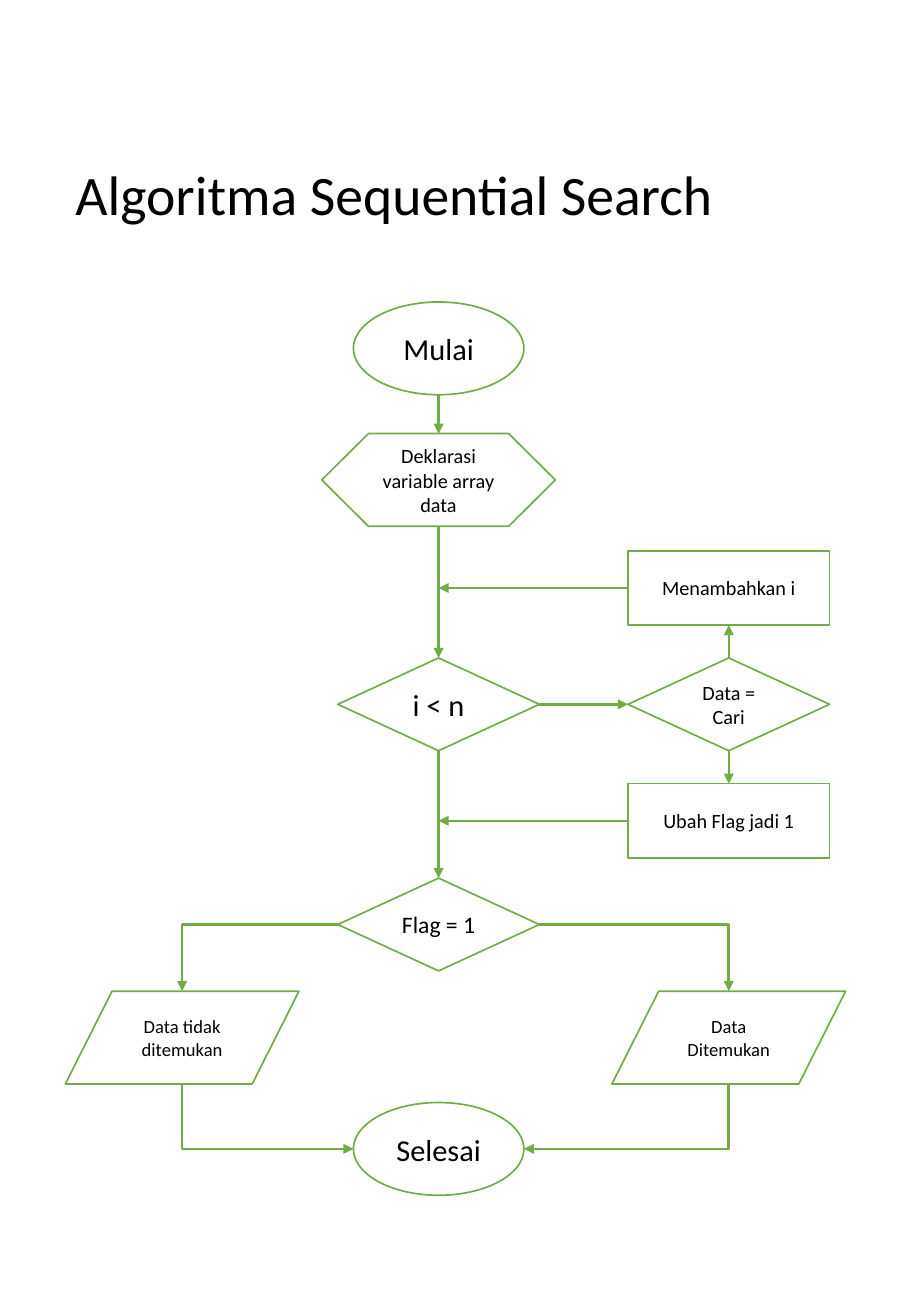
"""Build a flowchart slide of the sequential search algorithm."""
from pptx import Presentation
from pptx.dml.color import RGBColor
from pptx.enum.shapes import MSO_CONNECTOR, MSO_SHAPE
from pptx.enum.text import MSO_ANCHOR, PP_ALIGN
from pptx.oxml.ns import qn
from pptx.util import Pt

OVAL = MSO_SHAPE.OVAL
PREP = MSO_SHAPE.FLOWCHART_PREPARATION
TEST = MSO_SHAPE.FLOWCHART_DECISION
DATA = MSO_SHAPE.FLOWCHART_DATA
RECT = MSO_SHAPE.RECTANGLE
STRAIGHT, ELBOW = MSO_CONNECTOR.STRAIGHT, MSO_CONNECTOR.ELBOW
LEFT, CENTER, MIDDLE = PP_ALIGN.LEFT, PP_ALIGN.CENTER, MSO_ANCHOR.MIDDLE

GREEN = RGBColor(0x70, 0xAD, 0x47)
BLACK = RGBColor(0, 0, 0)
WHITE = RGBColor(255, 255, 255)

SIZES = {OVAL: (101, 55), PREP: (138.5, 55), TEST: (119.5, 55),
         DATA: (138.5, 55), RECT: (119.5, 44)}
WEST, MAIN, EAST = 108, 260, 432
TOP, SIDE_L, BOTTOM, SIDE_R = range(4)


class Chart:
    """Draws flowchart parts on one slide in one style."""

    def __init__(self, slide):
        self.slide = slide
        self.shapes = slide.shapes
        self.font = "Calibri"

    def label(self, shape, text, size, align):
        frame = shape.text_frame
        frame.text = text
        frame.word_wrap = True
        frame.vertical_anchor = MIDDLE
        par = frame.paragraphs[0]
        par.alignment = align
        font = par.runs[0].font
        font.name, font.size = self.font, Pt(size)
        font.color.rgb = BLACK
        return par

    def title(self, text, left, top, width, height):
        shape = self.shapes.title
        shape.left, shape.top = Pt(left), Pt(top)
        shape.width, shape.height = Pt(width), Pt(height)
        self.label(shape, text, 33, LEFT).line_spacing = 0.9

    def node(self, kind, mid, top, text, size):
        width, height = SIZES[kind]
        shape = self.shapes.add_shape(
            kind, Pt(mid - width / 2), Pt(top), Pt(width), Pt(height))
        shape.shadow.inherit = False
        shape.fill.solid()
        shape.fill.fore_color.rgb = WHITE
        shape.line.color.rgb = GREEN
        shape.line.width = Pt(1)
        self.label(shape, text, size, CENTER)
        return shape

    def wire(self, kind, start, end, tip="a:tailEnd"):
        line = self.shapes.add_connector(kind, *start, *end)
        line.line.color.rgb = GREEN
        line.line.width = Pt(1.5)
        props = line.element.spPr
        stroke = props.find(qn("a:ln"))
        stroke.append(stroke.makeelement(qn(tip), {"type": "triangle"}))
        props.append(props.makeelement(qn("a:effectLst"), {}))
        return line

    def link(self, first, side, last, goal):
        line = self.wire(STRAIGHT, point(first, side), point(last, goal))
        line.begin_connect(first, side)
        line.end_connect(last, goal)

    def merge(self, first, mid):
        x, y = point(first, SIDE_L)
        line = self.wire(STRAIGHT, (x, y), (Pt(mid), y))
        line.begin_connect(first, SIDE_L)

    def bend(self, start, end, tip):
        line = self.wire(ELBOW, start, end, tip)
        line.element.spPr.find(qn("a:prstGeom")).set("prst", "bentConnector2")


def point(shape, side):
    """Return the middle of one side of a shape."""
    x = shape.left + shape.width // 2
    y = shape.top + shape.height // 2
    return {TOP: (x, shape.top), SIDE_L: (shape.left, y),
            BOTTOM: (x, shape.top + shape.height),
            SIDE_R: (shape.left + shape.width, y)}[side]


def main():
    """Lay out the slide and save it."""
    deck = Presentation()
    deck.slide_width, deck.slide_height = Pt(540), Pt(780)
    chart = Chart(deck.slides.add_slide(deck.slide_layouts[5]))
    chart.title("Algoritma Sequential Search", 37.5, 41.5, 466, 150.5)

    start = chart.node(OVAL, MAIN, 179, "Mulai", 18)
    stop = chart.node(OVAL, MAIN, 653.5, "Selesai", 18)
    setup = chart.node(PREP, MAIN, 257, "Deklarasi variable array data", 12)
    loop = chart.node(TEST, MAIN, 390, "i < n", 18)
    match = chart.node(TEST, EAST, 390, "Data = Cari", 12)
    step = chart.node(RECT, EAST, 326.5, "Menambahkan i", 12)
    mark = chart.node(RECT, EAST, 464.5, "Ubah Flag jadi 1", 12)
    flag = chart.node(TEST, MAIN, 520.5, "Flag = 1", 14)
    lost = chart.node(DATA, WEST, 587.5, "Data tidak ditemukan", 11)
    found = chart.node(DATA, EAST, 587.5, "Data Ditemukan", 11)

    for first, last in ((start, setup), (setup, loop), (loop, flag), (match, mark)):
        chart.link(first, BOTTOM, last, TOP)
    chart.link(loop, SIDE_R, match, SIDE_L)
    chart.link(match, TOP, step, BOTTOM)
    for box in (step, mark):
        chart.merge(box, MAIN)
    for side, result in ((SIDE_L, lost), (SIDE_R, found)):
        chart.bend(point(flag, side), point(result, TOP), "a:tailEnd")
        chart.bend(point(stop, side), point(result, BOTTOM), "a:headEnd")

    deck.save("out.pptx")


if __name__ == "__main__":
    main()
